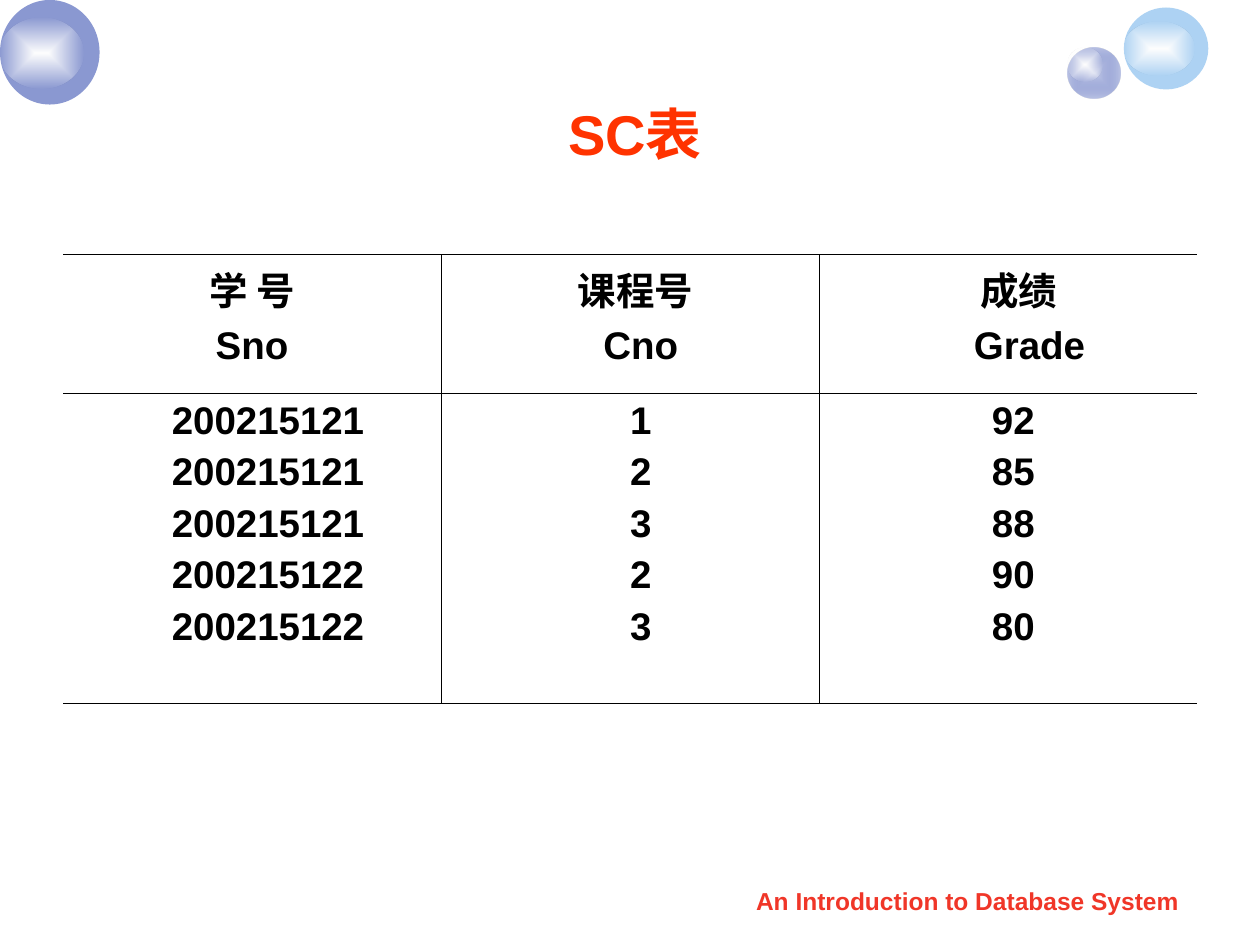
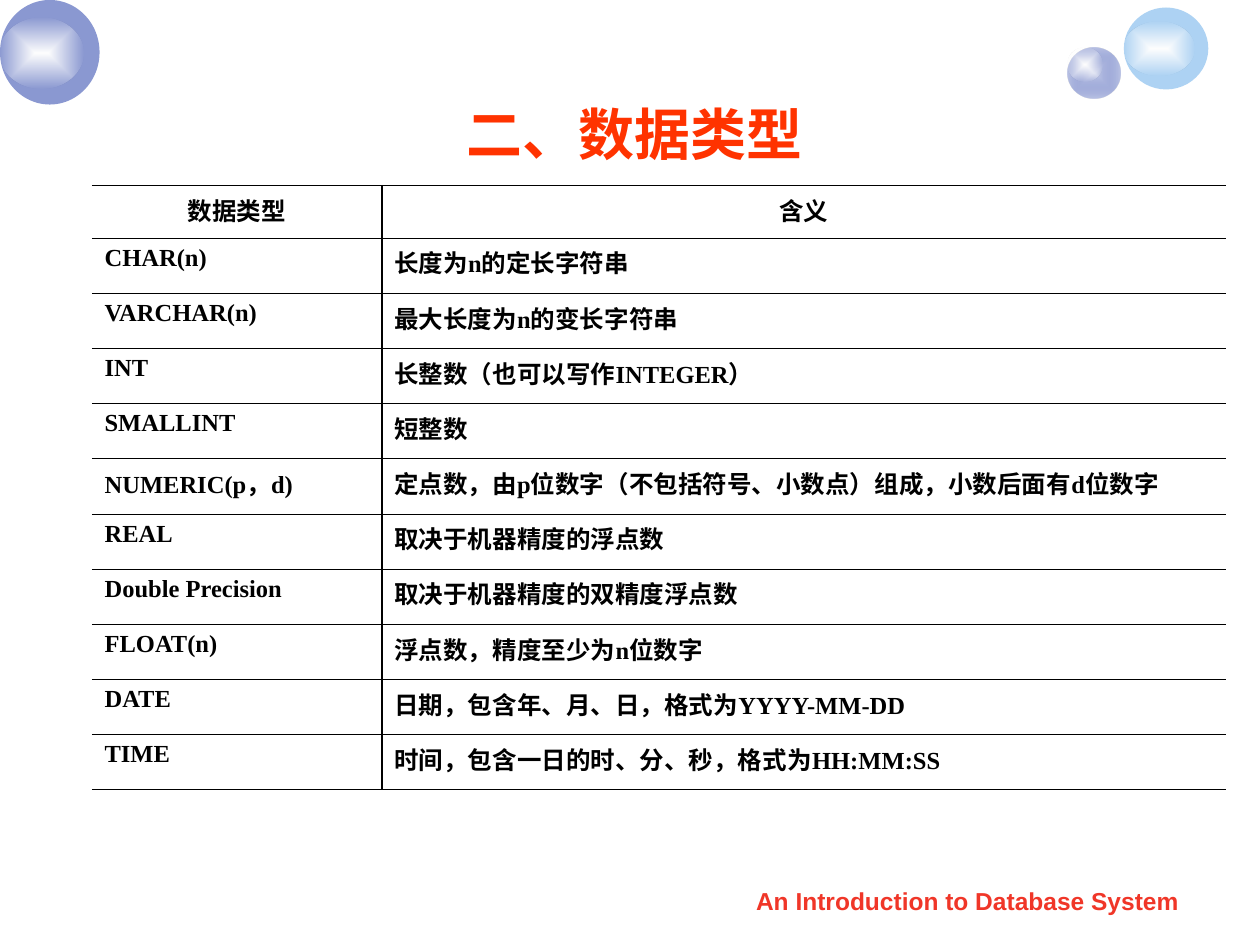
"""Build two database course slides: the SC table and the SQL data types."""
from dataclasses import dataclass
from typing import Optional

import pptx
import pptx.dml.color
import pptx.enum.shapes
import pptx.enum.text
import pptx.oxml
import pptx.oxml.ns
import pptx.util

CENTER = pptx.enum.text.PP_ALIGN.CENTER
LEFT = pptx.enum.text.PP_ALIGN.LEFT


@dataclass(frozen=True)
class Theme:
    """Colours, fonts and type sizes of the deck."""
    title: str = "FF3300"
    footer: str = "F03628"
    ink: str = "000000"
    blue: str = "233DA9"
    pale_blue: str = "C7CEE9"
    sky: str = "65AAE9"
    white: str = "FFFFFF"
    sans: str = "Arial"
    serif: str = "Times New Roman"
    title_size: float = 32
    record_size: float = 22
    small_size: float = 14
    rule: float = 0.45
    heavy_rule: float = 1.08


THEME = Theme()
WIDTH, HEIGHT = pptx.util.Inches(10), pptx.util.Inches(7.5)
COLUMN, ROW = WIDTH / 100, HEIGHT / 75


@dataclass(frozen=True)
class Area:
    """A rectangle in columns and rows of the slide grid."""
    left: float
    top: float
    width: float
    height: float

    def lengths(self) -> tuple[int, int, int, int]:
        """Return the rectangle in slide units."""
        return (round(self.left * COLUMN), round(self.top * ROW),
                round(self.width * COLUMN), round(self.height * ROW))


@dataclass(frozen=True)
class Stop:
    """A colour with its opacity in percent."""
    color: str
    opacity: int = 100

    def xml(self) -> str:
        """Return the colour element."""
        return (f'<a:srgbClr val="{self.color}">'
                f'<a:alpha val="{self.opacity * 1000}"/></a:srgbClr>')


@dataclass(frozen=True)
class Disc:
    """An ellipse filled with one stop, or shaded from centre to edge."""
    area: Area
    center: Stop
    edge: Optional[Stop] = None


@dataclass(frozen=True)
class TextStyle:
    """How a paragraph is set."""
    size: float
    color: str = THEME.ink
    font: str = THEME.sans
    align: pptx.enum.text.PP_ALIGN = CENTER
    margin: float = 0
    indent: float = 0
    gap: float = 0


@dataclass(frozen=True)
class Entry:
    """The paragraphs of one table cell and their style."""
    texts: list[str]
    styles: list[TextStyle]


@dataclass(frozen=True)
class Grid:
    """A table with open sides."""
    area: Area
    columns: list[float]
    rows: list[float]
    entries: list[list[Entry]]
    divider: float = THEME.rule


GLOW = Stop(THEME.white), Stop(THEME.white, 0)
BALLS = [
    [Disc(Area(84.7, 3.8, 4.2, 4), Stop(THEME.pale_blue), Stop(THEME.blue, 31)),
     Disc(Area(84.7, 3.8, 2.8, 2.7), *GLOW)],
    [Disc(Area(89.2, 0.6, 6.7, 6.5), Stop(THEME.sky, 53)),
     Disc(Area(89.2, 1.7, 5.6, 4.3), *GLOW)],
    [Disc(Area(0, 0, 7.9, 8.3), Stop(THEME.blue, 53)),
     Disc(Area(0, 1.4, 6.6, 5.6), *GLOW)],
]
TITLE_AREA = Area(10, 7.5, 80.8, 6.2)
FOOTER_AREA = Area(57.1, 69.8, 39.4, 3.5)
TITLE_STYLE = TextStyle(THEME.title_size, THEME.title)
FOOTER_STYLE = TextStyle(THEME.small_size, THEME.footer)
FOOTER = "An Introduction to Database System"

RECORDS = [("200215121", "1", "92"), ("200215121", "2", "85"),
           ("200215121", "3", "88"), ("200215122", "2", "90"),
           ("200215122", "3", "80")]
RECORD_HEADS = [["学 号", "Sno"], ["课程号", "Cno"], ["成绩", "Grade"]]
HEAD_MARGINS = [[0, 0], [0.85, 1.7], [1.7, 3.4]]
RECORD_MARGINS = [2.55, 1.7, 0.85]

DATA_TYPES = [
    ("CHAR(n)", "长度为n的定长字符串"),
    ("VARCHAR(n)", "最大长度为n的变长字符串"),
    ("INT", "长整数（也可以写作INTEGER）"),
    ("SMALLINT", "短整数"),
    ("NUMERIC(p，d)", "定点数，由p位数字（不包括符号、小数点）组成，小数后面有d位数字"),
    ("REAL", "取决于机器精度的浮点数"),
    ("Double Precision", "取决于机器精度的双精度浮点数"),
    ("FLOAT(n)", "浮点数，精度至少为n位数字"),
    ("DATE", "日期，包含年、月、日，格式为YYYY-MM-DD"),
    ("TIME", "时间，包含一日的时、分、秒，格式为HH:MM:SS"),
]


def fill_xml(disc: Disc) -> str:
    """Return the fill element of a disc."""
    space = pptx.oxml.ns.nsdecls("a")
    if disc.edge is None:
        return f"<a:solidFill {space}>{disc.center.xml()}</a:solidFill>"
    return (f'<a:gradFill {space} rotWithShape="1"><a:gsLst>'
            f'<a:gs pos="0">{disc.center.xml()}</a:gs>'
            f'<a:gs pos="100000">{disc.edge.xml()}</a:gs></a:gsLst>'
            '<a:path path="rect"><a:fillToRect l="50000" t="50000" r="50000" b="50000"/>'
            '</a:path></a:gradFill>')


def draw_ball(page: pptx.slide.Slide, discs: list[Disc]) -> None:
    """Draw one ball as a group of discs."""
    group = page.shapes.add_group_shape()
    for disc in discs:
        shape = group.shapes.add_shape(
            pptx.enum.shapes.MSO_SHAPE.OVAL, *disc.area.lengths())
        shape.shadow.inherit = False
        shape.line.fill.background()
        shape.fill.background()
        properties = shape._element.spPr
        blank = properties.find(pptx.oxml.ns.qn("a:noFill"))
        properties.replace(blank, pptx.oxml.parse_xml(fill_xml(disc)))


def write(frame: pptx.text.text.TextFrame, entry: Entry) -> None:
    """Write each text as a styled paragraph."""
    for index, (text, style) in enumerate(zip(entry.texts, entry.styles)):
        para = frame.add_paragraph() if index else frame.paragraphs[0]
        properties = para._p.get_or_add_pPr()
        properties.set("marL", str(round(style.margin * COLUMN)))
        properties.set("indent", str(round(style.indent * COLUMN)))
        para.alignment = style.align
        para.space_before = pptx.util.Pt(style.gap if index else 0)
        span = para.add_run()
        span.text = text
        span.font.name = style.font
        span.font.size = pptx.util.Pt(style.size)
        span.font.bold = True
        span.font.color.rgb = pptx.dml.color.RGBColor.from_string(style.color)


def draw_text(page: pptx.slide.Slide, area: Area, text: str, style: TextStyle,
              anchor: pptx.enum.text.MSO_ANCHOR) -> None:
    """Draw one line of text in a box."""
    frame = page.shapes.add_textbox(*area.lengths()).text_frame
    frame.word_wrap = True
    frame.vertical_anchor = anchor
    write(frame, Entry([text], [style]))


def set_borders(cell: pptx.table._Cell, widths: dict[str, float]) -> None:
    """Rule the sides of a cell; a width of zero leaves a side open."""
    properties = cell._tc.get_or_add_tcPr()
    for index, (side, width) in enumerate(widths.items()):
        paint = (f'<a:solidFill><a:srgbClr val="{THEME.ink}"/></a:solidFill>'
                 if width else "<a:noFill/>")
        properties.insert(index, pptx.oxml.parse_xml(
            f'<a:ln{side} {pptx.oxml.ns.nsdecls("a")} '
            f'w="{pptx.util.Pt(width)}">{paint}</a:ln{side}>'))


def draw_grid(page: pptx.slide.Slide, grid: Grid) -> None:
    """Draw a table with rules between rows and columns."""
    last = len(grid.columns) - 1
    table = page.shapes.add_table(
        len(grid.rows), len(grid.columns), *grid.area.lengths()).table
    table.first_row = table.horz_banding = False
    for column, width in zip(table.columns, grid.columns):
        column.width = round(width * COLUMN)
    for row, height, entries in zip(table.rows, grid.rows, grid.entries):
        row.height = round(height * ROW)
        for index, (cell, entry) in enumerate(zip(row.cells, entries)):
            cell.fill.background()
            write(cell.text_frame, entry)
            set_borders(cell, {"L": grid.divider if index else 0,
                               "R": grid.divider if index < last else 0,
                               "T": THEME.rule, "B": THEME.rule})


def record_grid() -> Grid:
    """Return the student and course records."""
    def style(margin: float) -> TextStyle:
        """Return the record style shifted by a margin."""
        return TextStyle(THEME.record_size, margin=margin, gap=4.8)

    heads = [Entry(texts, [style(margin) for margin in margins])
             for texts, margins in zip(RECORD_HEADS, HEAD_MARGINS)]
    bodies = [Entry(list(texts), [style(margin)] * len(texts))
              for texts, margin in zip(zip(*RECORDS), RECORD_MARGINS)]
    return Grid(Area(5, 20.2, 90, 35.6), [30] * 3, [11, 24.6], [heads, bodies])


def type_grid() -> Grid:
    """Return the data types and their meanings."""
    def entries(texts: tuple[str, str],
                align: pptx.enum.text.PP_ALIGN) -> list[Entry]:
        """Return one row of cells with a hanging indent."""
        style = TextStyle(THEME.small_size, font=THEME.serif, align=align,
                          margin=3.8, indent=-3.8)
        return [Entry([text], [style]) for text in texts]

    rows = [entries(("数据类型", "含义"), CENTER)]
    rows += [entries(pair, LEFT) for pair in DATA_TYPES]
    return Grid(Area(7.3, 14.7, 90, 48), [23, 67],
                [4.2] + [4.38] * len(DATA_TYPES), rows, THEME.heavy_rule)


def main() -> None:
    """Build and save the deck."""
    deck = pptx.Presentation()
    deck.slide_width, deck.slide_height = WIDTH, HEIGHT
    anchors = pptx.enum.text.MSO_ANCHOR
    for title, grid in [("SC表", record_grid()), ("二、数据类型", type_grid())]:
        page = deck.slides.add_slide(deck.slide_layouts[6])
        for discs in BALLS:
            draw_ball(page, discs)
        draw_text(page, FOOTER_AREA, FOOTER, FOOTER_STYLE, anchors.TOP)
        draw_text(page, TITLE_AREA, title, TITLE_STYLE, anchors.MIDDLE)
        draw_grid(page, grid)
    deck.save("out.pptx")


if __name__ == "__main__":
    main()
